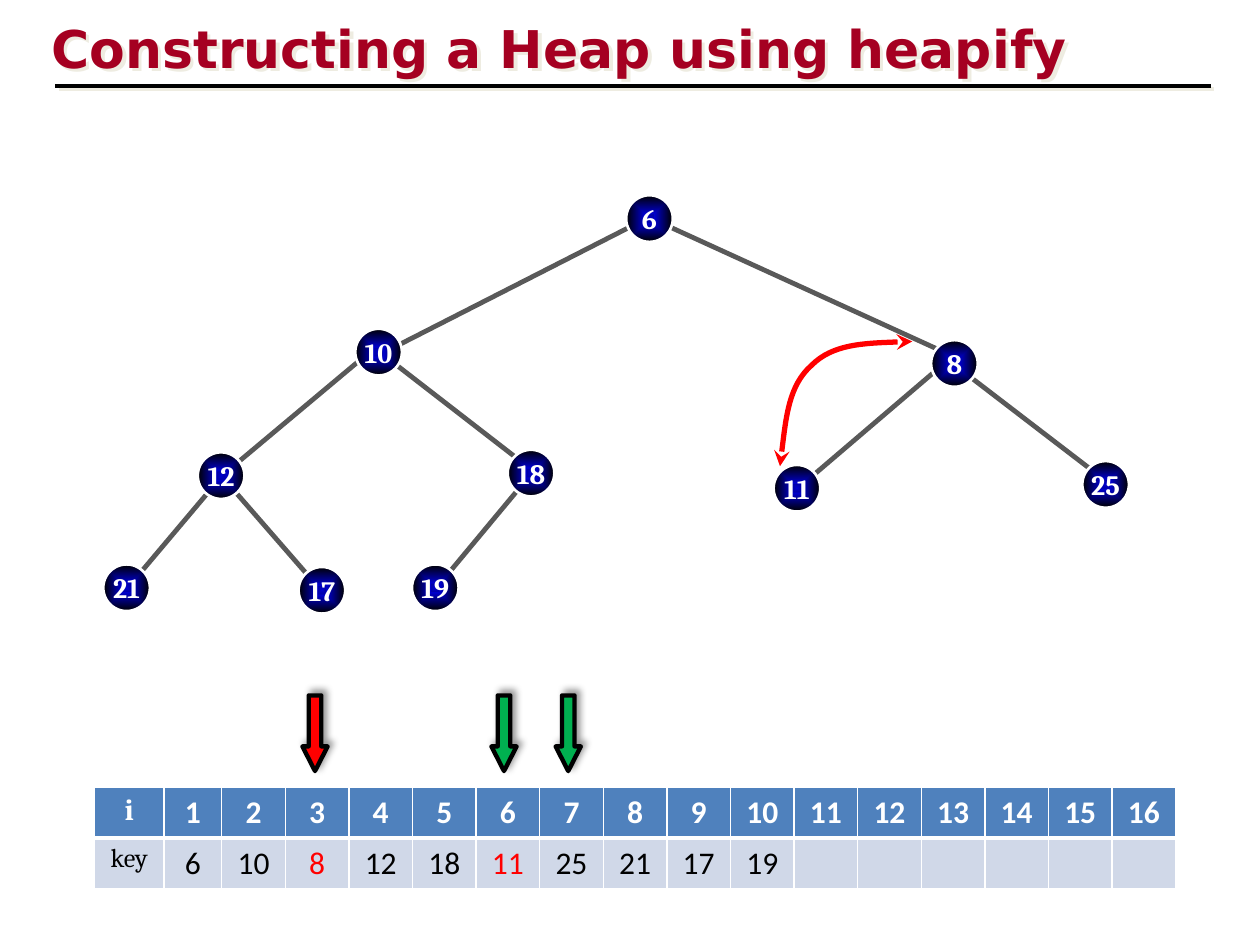
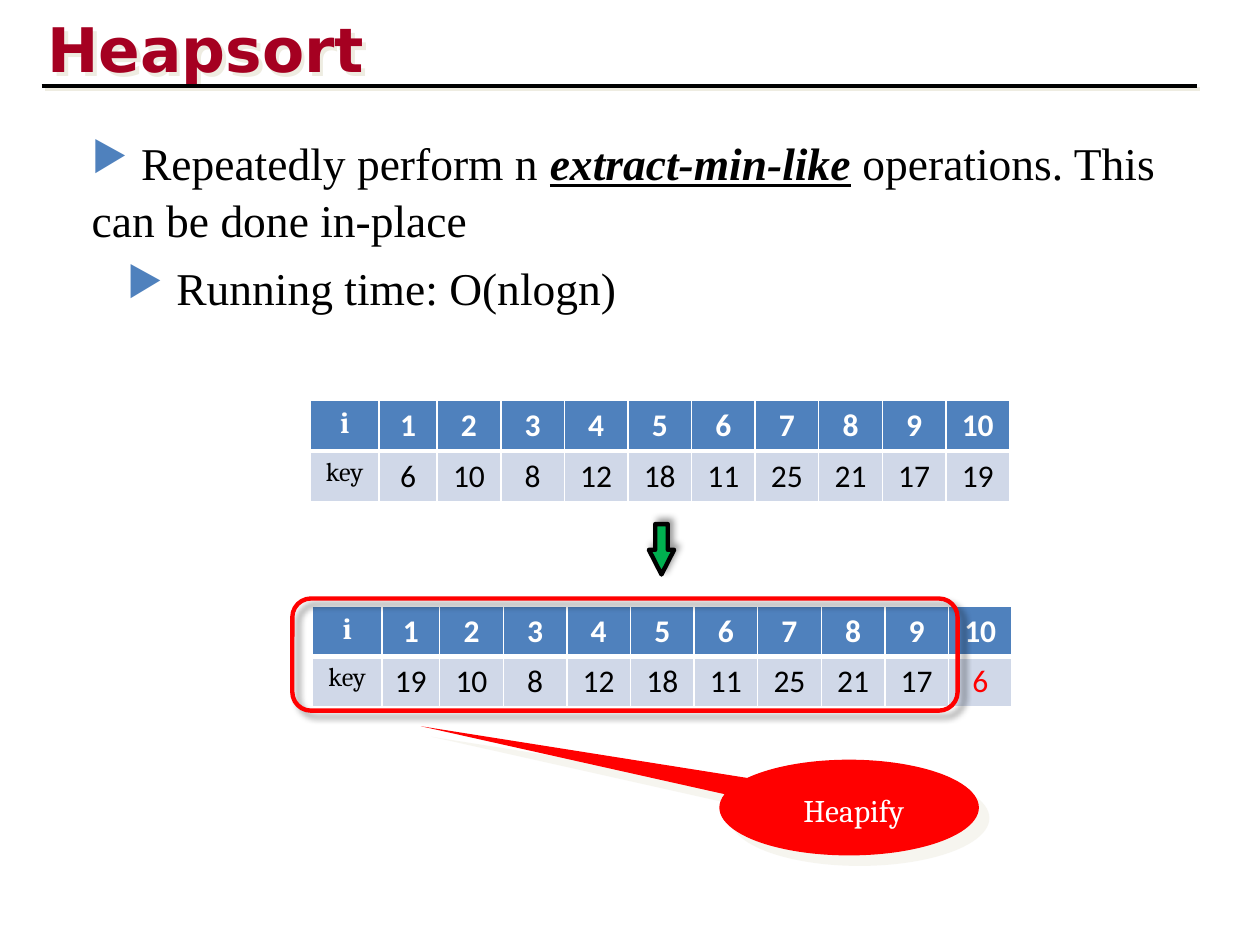
import pptx
import pptx.dml.color
import pptx.enum.shapes
import pptx.enum.text
import pptx.oxml.ns
import pptx.util
from lxml import etree

Inches = pptx.util.Inches
Pt = pptx.util.Pt
RGBColor = pptx.dml.color.RGBColor
Shape = pptx.enum.shapes.MSO_SHAPE
Align = pptx.enum.text.PP_ALIGN
Anchor = pptx.enum.text.MSO_ANCHOR
qn = pptx.oxml.ns.qn

WHITE = RGBColor(0xFF, 0xFF, 0xFF)
BLACK = RGBColor(0, 0, 0)
RED = RGBColor(0xFF, 0, 0)
GREEN = RGBColor(0, 0xB0, 0x50)
CRIMSON = RGBColor(0xA5, 0, 0x21)
CREAM = RGBColor(0xEE, 0xEC, 0xE1)
EDGE_GRAY = RGBColor(0x59, 0x59, 0x59)
HEADER_BLUE = RGBColor(0x4F, 0x81, 0xBD)
KEY_BLUE = RGBColor(0xD0, 0xD8, 0xE8)
NODE_GRADIENT = [(0, "0000CC"), (6, "0000C0"), (10, "0000B7"),
                 (16, "0000AB"), (21, "0000CC"), (100, "000000")]

TITLE_FONT = "DejaVu Sans"
LABEL_FONT = "Cambria"
NUMBER_FONT = "Calibri"
BODY_FONT = "Times New Roman"

NODE_SIZE = 0.37
HEAP_KEYS = [6, 10, 8, 12, 18, 11, 25, 21, 17, 19]
NODE_POSITIONS = [(4.97, 1.55), (2.82, 2.61), (7.39, 2.7), (1.57, 3.59), (4.03, 3.57),
                  (6.14, 3.69), (8.59, 3.66), (0.82, 4.48), (2.37, 4.5), (3.27, 4.48)]
TREE_EDGES = [(7.57, 2.83, 5.16, 1.73), (3.14, 2.75, 5.14, 1.73),
              (8.65, 3.72, 7.62, 2.93), (6.41, 3.81, 7.57, 2.82),
              (4.08, 3.62, 3.06, 2.83), (1.84, 3.71, 3.01, 2.73),
              (2.43, 4.55, 1.76, 3.78), (1.01, 4.67, 1.76, 3.78),
              (3.46, 4.67, 4.2, 3.78)]
SWAP_CURVE = [(6.19, 3.7), (6.23, 3.38), (6.26, 3.06), (6.44, 2.9),
              (6.61, 2.73), (6.93, 2.72), (7.24, 2.71)]


def add_element(parent, tag, **attributes):
    element = etree.SubElement(parent, qn(tag))
    for name, value in attributes.items():
        element.set(name, str(value))
    return element


def add_shadow(shape, color=None, opacity=100, blur=0, distance=0, angle=45):
    """Replace the theme shadow; without a color the shape has none."""
    properties = shape._element.spPr
    for old_effects in properties.findall(qn("a:effectLst")):
        properties.remove(old_effects)
    effects = add_element(properties, "a:effectLst")
    if color is not None:
        outer = add_element(effects, "a:outerShdw", blurRad=Pt(blur), dist=Pt(distance),
                            dir=angle * 60000, algn="ctr", rotWithShape=0)
        shadow_color = add_element(outer, "a:srgbClr", val=color)
        add_element(shadow_color, "a:alpha", val=opacity * 1000)


def add_run(paragraph, text, size, font, color, bold=False, italic=False, underline=False):
    run = paragraph.add_run()
    run.text = text
    run.font.size = Pt(size)
    run.font.name = font
    run.font.color.rgb = color
    run.font.bold = bold
    run.font.italic = italic
    run.font.underline = underline


def add_text_box(slide, left, top, width, height):
    box = slide.shapes.add_textbox(Inches(left), Inches(top), Inches(width), Inches(height))
    box.text_frame.word_wrap = True
    return box


def add_shape(slide, kind, left, top, width, height, fill=None, line=None, line_width=1.5):
    shape = slide.shapes.add_shape(kind, Inches(left), Inches(top),
                                   Inches(width), Inches(height))
    shape.shadow.inherit = False
    if fill is None:
        shape.fill.background()
    else:
        shape.fill.solid()
        shape.fill.fore_color.rgb = fill
    if line is None:
        shape.line.fill.background()
    else:
        shape.line.color.rgb = line
        shape.line.width = Pt(line_width)
    return shape


def add_line(slide, start_x, start_y, end_x, end_y, color, width):
    connector = slide.shapes.add_connector(
        pptx.enum.shapes.MSO_CONNECTOR.STRAIGHT,
        Inches(start_x), Inches(start_y), Inches(end_x), Inches(end_y))
    connector.line.color.rgb = color
    connector.line.width = Pt(width)
    add_shadow(connector)
    return connector


def add_title(slide, text, left, top, size, rule_left):
    box = add_text_box(slide, left, top, 8.5, 0.67)
    box.text_frame.margin_top = Inches(0.08)
    add_run(box.text_frame.paragraphs[0], text, size, TITLE_FONT, CRIMSON, bold=True)
    rule = add_line(slide, rule_left, 0.68, rule_left + 9.17, 0.68, BLACK, 2.25)
    for item in (box, rule):
        add_shadow(item, CREAM, distance=2.8)


def add_node(slide, key, left, top):
    node = add_shape(slide, Shape.OVAL, left, top, NODE_SIZE, NODE_SIZE, BLACK, WHITE)
    properties = node._element.spPr
    gradient = etree.Element(qn("a:gradFill"), rotWithShape="1")
    stops = add_element(gradient, "a:gsLst")
    for position, color in NODE_GRADIENT:
        stop = add_element(stops, "a:gs", pos=position * 1000)
        add_element(stop, "a:srgbClr", val=color)
    center = add_element(gradient, "a:path", path="shape")
    add_element(center, "a:fillToRect", l=50000, t=50000, r=50000, b=50000)
    properties.replace(properties.find(qn("a:solidFill")), gradient)

    frame = node.text_frame
    frame.word_wrap = False
    frame.vertical_anchor = Anchor.MIDDLE
    frame.paragraphs[0].alignment = Align.CENTER
    add_run(frame.paragraphs[0], str(key), 16, LABEL_FONT, WHITE, bold=True)


def add_down_arrow(slide, center_x, center_y, length, fill):
    thickness = 0.2
    arrow = add_shape(slide, Shape.RIGHT_ARROW, center_x - length / 2,
                      center_y - thickness / 2, length, thickness, fill, BLACK, 2.5)
    arrow.rotation = 90
    arrow.adjustments[0] = 0.5
    arrow.adjustments[1] = 0.98
    add_shadow(arrow, BLACK, 40, blur=4, distance=3, angle=315)


def add_swap_curve(slide, points):
    """Draw a double-headed Bezier curve: a start, then three points per segment."""
    corners = [(Inches(x), Inches(y)) for x, y in points]
    builder = slide.shapes.build_freeform(*corners[0])
    builder.add_line_segments(corners[1:], close=False)
    curve = builder.convert_to_shape()
    outline = next(curve._element.iter(qn("a:path")))
    segments = outline.findall(qn("a:lnTo"))
    for first in range(0, len(segments), 3):
        bezier = add_element(outline, "a:cubicBezTo")
        for segment in segments[first:first + 3]:
            bezier.append(segment[0])
            outline.remove(segment)
    curve.fill.background()
    curve.line.color.rgb = RED
    curve.line.width = Pt(3)
    line = curve.line._get_or_add_ln()
    add_element(line, "a:headEnd", type="stealth")
    add_element(line, "a:tailEnd", type="stealth")
    add_shadow(curve)


def style_cell(cell, text, fill, size, font, color, bold, bottom_border):
    properties = cell._tc.get_or_add_tcPr()
    for side, width in (("L", 1), ("R", 1), ("T", 1), ("B", bottom_border)):
        border = add_element(properties, f"a:ln{side}", w=Pt(width))
        add_element(add_element(border, "a:solidFill"), "a:srgbClr", val=WHITE)
    cell.fill.solid()
    cell.fill.fore_color.rgb = fill
    if text:
        paragraph = cell.text_frame.paragraphs[0]
        paragraph.alignment = Align.CENTER
        add_run(paragraph, text, size, font, color, bold)


def add_heap_table(slide, left, top, keys, slots, red_slots=()):
    widths = [0.55, 0.46] + [0.505] * (slots - 1)
    row_height = 0.4
    table = slide.shapes.add_table(2, slots + 1, Inches(left), Inches(top),
                                   Inches(sum(widths)), Inches(2 * row_height)).table
    for column, width in zip(table.columns, widths):
        column.width = Inches(width)
    for row in table.rows:
        row.height = Inches(row_height)
    style_cell(table.cell(0, 0), "i", HEADER_BLUE, 17, LABEL_FONT, WHITE, True, 3)
    style_cell(table.cell(1, 0), "key", KEY_BLUE, 15, LABEL_FONT, BLACK, False, 1)
    for slot in range(1, slots + 1):
        key = str(keys[slot - 1]) if slot <= len(keys) else ""
        key_color = RED if slot in red_slots else BLACK
        style_cell(table.cell(0, slot), str(slot), HEADER_BLUE, 18, NUMBER_FONT, WHITE, True, 3)
        style_cell(table.cell(1, slot), key, KEY_BLUE, 18, NUMBER_FONT, key_color, False, 1)


def add_bullet(paragraph, indent, runs):
    properties = paragraph._p.get_or_add_pPr()
    properties.set("marL", str(Inches(indent)))
    properties.set("indent", "0")
    add_element(add_element(properties, "a:buClr"), "a:srgbClr", val=HEADER_BLUE)
    add_element(properties, "a:buSzPct", val=90000)
    add_element(properties, "a:buChar", char="▶")
    paragraph.line_spacing = 1.05
    for text, emphasized in runs:
        add_run(paragraph, text, 26, BODY_FONT, BLACK, emphasized, emphasized, emphasized)


def build_heapify_slide(slide):
    for edge in TREE_EDGES:
        add_line(slide, *edge, EDGE_GRAY, 2.75)
    add_title(slide, "Constructing a Heap using heapify", 0.31, 0.05, 29.7, 0.44)
    for key, position in zip(HEAP_KEYS, NODE_POSITIONS):
        add_node(slide, key, *position)
    add_heap_table(slide, 0.75, 6.25, HEAP_KEYS, 16, red_slots=(3, 6))
    for center_x, color in ((2.5, RED), (4, GREEN), (4.51, GREEN)):
        add_down_arrow(slide, center_x, 5.82, 0.6, color)
    add_swap_curve(slide, SWAP_CURVE)


def build_heapsort_slide(slide):
    add_title(slide, "Heapsort", 0.28, 0.01, 35.1, 0.33)
    frame = add_text_box(slide, 0.63, 1, 9.1, 1.5).text_frame
    add_bullet(frame.paragraphs[0], 0, [
        (" ", False), ("Repeatedly perform n ", False), ("extract-min-like", True),
        (" operations. This can be done in-place", False)])
    running_time = frame.add_paragraph()
    running_time.level = 1
    add_bullet(running_time, 0.28, [(" ", False), ("Running time: O(nlogn)", False)])
    running_time.space_before = Pt(6)

    swapped_keys = [HEAP_KEYS[-1], *HEAP_KEYS[1:-1], HEAP_KEYS[0]]
    add_heap_table(slide, 2.46, 3.18, HEAP_KEYS, 10)
    add_down_arrow(slide, 5.25, 4.36, 0.4, GREEN)
    add_heap_table(slide, 2.48, 4.81, swapped_keys, 10, red_slots=(10,))

    remaining_heap = add_shape(slide, Shape.ROUNDED_RECTANGLE, 2.32, 4.75, 5.28, 0.89,
                               line=RED, line_width=2.5)
    add_shadow(remaining_heap, BLACK, 40, blur=4, distance=4)

    callout = add_shape(slide, Shape.OVAL_CALLOUT, 5.71, 6.03, 2.06, 0.76, RED)
    callout.adjustments[0] = -1.65
    callout.adjustments[1] = -0.85
    add_shadow(callout, CREAM, 50, distance=8.5)
    label = add_text_box(slide, 5.83, 6.23, 1.89, 0.39).text_frame.paragraphs[0]
    label.alignment = Align.CENTER
    add_run(label, "Heapify", 18, LABEL_FONT, WHITE)


def main():
    presentation = pptx.Presentation()
    presentation.slide_width = Inches(10)
    presentation.slide_height = Inches(7.5)
    blank_layout = presentation.slide_layouts[6]
    for build_slide in (build_heapify_slide, build_heapsort_slide):
        build_slide(presentation.slides.add_slide(blank_layout))
    presentation.save("out.pptx")


if __name__ == "__main__":
    main()
